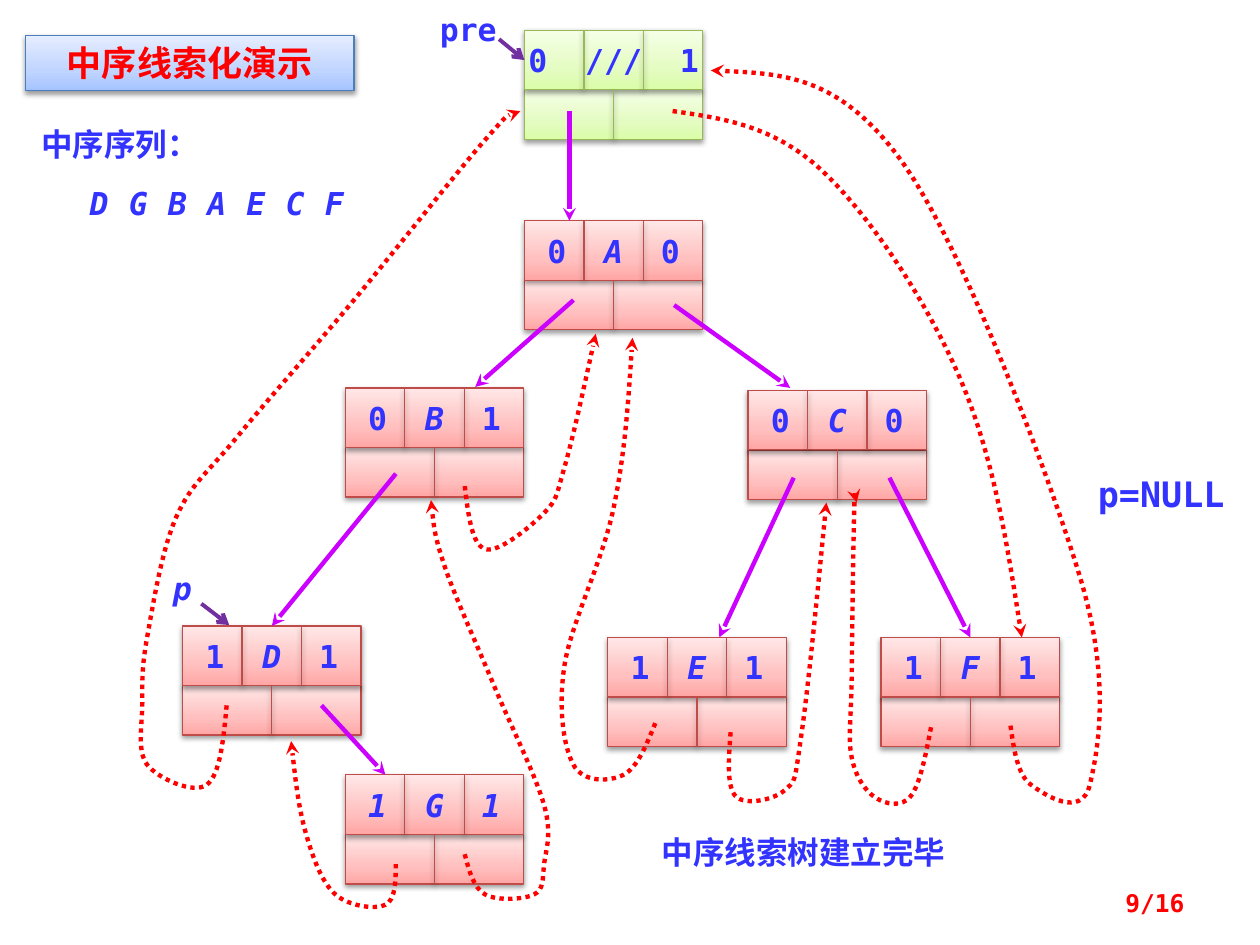
from copy import deepcopy
from itertools import accumulate

from lxml.etree import SubElement
from pptx import Presentation
from pptx.dml.color import RGBColor
from pptx.enum.dml import MSO_LINE
from pptx.enum.shapes import MSO_CONNECTOR, MSO_SHAPE
from pptx.enum.text import MSO_ANCHOR, PP_ALIGN
from pptx.oxml.ns import qn
from pptx.util import Cm, Pt

MONO = "DejaVu Sans Mono"
CJK = "Noto Sans CJK SC"
BLUE = RGBColor.from_string("3333FF")
RED = RGBColor.from_string("FF0000")
MAGENTA = RGBColor.from_string("CC00FF")
PURPLE = RGBColor.from_string("7030A0")
# Each palette holds the gradient from bottom to top, then the outline.
PINK_PALETTE = [RGBColor.from_string(c) for c in ("FFA6A5", "FFC0BF", "FFE7E7", "BF4C48")]
GREEN_PALETTE = [RGBColor.from_string(c) for c in ("DAFDA7", "E4FCC2", "F5FFE7", "98B955")]
BLUE_PALETTE = [RGBColor.from_string(c) for c in ("A4C4FF", "BFD4FF", "E6EEFF", "4B7EBC")]

NODE_WIDTH, TAG_HEIGHT, LINK_HEIGHT = 3.6, 1.2, 1.0
CHARACTER_WIDTH = 0.382  # one 18 pt character of the monospaced font

# left, top, the three fields of the upper row
NODES = {
    "A": (10.57, 4.45, "0A0"),
    "E": (12.25, 12.85, "1E1"),
    "C": (15.08, 7.87, "0C0"),
    "F": (17.76, 12.85, "1F1"),
    "B": (6.96, 7.82, "0B1"),
    "D": (3.68, 12.62, "1D1"),
    "G": (6.96, 15.62, "1G1"),
    "pre": (10.57, 0.61, ("0", "///", "1")),
}

# start, end, node whose top middle the arrow joins
CHILD_ARROWS = [
    ((11.48, 2.24), (11.48, 4.45), None),
    ((11.56, 6.05), (9.58, 7.8), None),
    ((13.59, 6.15), (15.93, 7.82), None),
    ((16, 9.63), (14.5, 12.85), None),
    ((17.93, 9.63), (19.56, 12.85), "F"),
    ((7.98, 9.55), (5.56, 12.65), "D"),
    ((6.48, 14.22), (7.77, 15.62), None),
]

# Points that each smooth thread passes through.
THREADS = {
    "E to C": [(14.73, 14.76), (14.83, 16.05), (15.82, 15.93), (16.15, 14.86),
               (16.66, 10.13)],
    "F to C": [(18.77, 14.66), (18.36, 16.05), (17.65, 16.08), (17.17, 15.27),
               (17.17, 13.67), (17.22, 10.31), (17.27, 10.13)],
    "pre to F": [(13.56, 2.24), (16.56, 3.43), (19.35, 7.62), (20.6, 12.85)],
    "F to pre": [(20.37, 14.63), (20.78, 15.82), (21.97, 15.82), (21.77, 11.63),
                 (18.16, 3.23), (14.33, 1.42)],
    "G to B": [(9.37, 17.22), (9.78, 18.03), (10.77, 18.03), (10.97, 17.42),
               (10.97, 16.23), (9.96, 13.82), (8.97, 11.43), (8.69, 10.08)],
    "G to D": [(7.98, 17.42), (7.77, 18.24), (6.76, 18.03), (6.17, 16.81),
               (5.87, 14.94)],
    "D to pre": [(4.57, 14.22), (4.17, 15.82), (2.97, 15.42), (2.87, 14.17),
                 (2.97, 12.83), (3.56, 10.41), (4.78, 8.81), (7.16, 6.02),
                 (9.78, 2.82), (10.49, 2.24)],
    "E to A": [(13.21, 14.58), (12.57, 15.62), (11.56, 15.42), (11.38, 13.41),
               (12.37, 10.24), (12.75, 6.81)],
    "B to A": [(9.37, 9.8), (9.78, 11.07), (10.97, 10.34), (11.38, 9.42),
               (12.01, 6.73)],
}


def add_shadow(effects):
    shadow = SubElement(effects, qn("a:outerShdw"), blurRad=str(Pt(3.1)), dist=str(Pt(1.6)),
                        dir="5400000", rotWithShape="0")
    color = SubElement(shadow, qn("a:srgbClr"), val="000000")
    SubElement(color, qn("a:alpha"), val="38000")


def add_box(slide, left, top, width, height, palette):
    """Add a rectangle with a three-stop vertical gradient and a soft shadow."""
    box = slide.shapes.add_shape(MSO_SHAPE.RECTANGLE, Cm(left), Cm(top), Cm(width), Cm(height))
    box.fill.gradient()
    box.fill.gradient_angle = 90
    stops = box._element.spPr.find(".//" + qn("a:gsLst"))
    stops.append(deepcopy(stops[-1]))
    for stop, position, color in zip(box.fill.gradient_stops, (0, 0.35, 1), palette):
        stop.position = position
        stop.color.rgb = color
    box.line.color.rgb = palette[-1]
    box.line.width = Pt(0.75)
    box.shadow.inherit = False
    add_shadow(box._element.spPr.find(qn("a:effectLst")))
    return box


def add_line(slide, start, end, color, width, arrowhead=None, shadow=False):
    line = slide.shapes.add_connector(MSO_CONNECTOR.STRAIGHT, *map(Cm, start + end))
    line.line.color.rgb = color
    line.line.width = Pt(width)
    if arrowhead:
        add_arrowhead(line, arrowhead)
    effects = SubElement(line._element.spPr, qn("a:effectLst"))
    if shadow:
        add_shadow(effects)
    return line


def add_arrowhead(shape, kind):
    SubElement(shape.line._get_or_add_ln(), qn("a:tailEnd"), type=kind)


def add_run(paragraph, text, size=18, color=BLUE, italic=False, font=MONO):
    run = paragraph.add_run()
    run.text = text
    run.font.name = font
    run.font.size = Pt(size)
    run.font.bold = True
    run.font.italic = italic
    run.font.color.rgb = color
    SubElement(run._r.get_or_add_rPr(), qn("a:ea"), typeface=CJK)


def add_label(slide, text, left, top, width, height, inset=True, alignment=PP_ALIGN.CENTER,
              **style):
    frame = slide.shapes.add_textbox(Cm(left), Cm(top), Cm(width), Cm(height)).text_frame
    frame.word_wrap = True
    if not inset:
        frame.margin_left = frame.margin_top = frame.margin_right = frame.margin_bottom = 0
    frame.paragraphs[0].alignment = alignment
    add_run(frame.paragraphs[0], text, **style)


def write_fields(box, fields, all_italic):
    """Write three fields, two characters apart, centred in the box by tab stops."""
    columns = list(accumulate(len(field) + 2 for field in fields))
    frame = box.text_frame
    frame.word_wrap = True
    frame.vertical_anchor = MSO_ANCHOR.MIDDLE
    frame.margin_left = Cm((NODE_WIDTH - (columns[-1] - 2) * CHARACTER_WIDTH) / 2)
    frame.margin_right = 0
    paragraph = frame.paragraphs[0]
    paragraph.alignment = PP_ALIGN.LEFT
    tabs = SubElement(paragraph._p.get_or_add_pPr(), qn("a:tabLst"))
    for column in columns[:2]:
        SubElement(tabs, qn("a:tab"), pos=str(Cm(column * CHARACTER_WIDTH)), algn="l")
    for index, field in enumerate(fields):
        add_run(paragraph, field if index == 2 else field + "\t",
                italic=all_italic or field.isalpha())


def add_node(slide, name, left, top, fields):
    """Add a node with tags above and links below; return its upper box."""
    palette = GREEN_PALETTE if name == "pre" else PINK_PALETTE
    middle = top + TAG_HEIGHT
    links = add_box(slide, left, middle, NODE_WIDTH, LINK_HEIGHT, palette)
    tags = add_box(slide, left, top, NODE_WIDTH, TAG_HEIGHT, palette)
    write_fields(tags, fields, all_italic=name == "G")
    for third in (1, 2):
        x = left + third * NODE_WIDTH / 3
        add_line(slide, (x, top), (x, middle), palette[-1], 0.75, shadow=True)
    x = left + NODE_WIDTH / 2
    divider = add_line(slide, (x, middle), (x, middle + LINK_HEIGHT), palette[-1], 0.75,
                       shadow=True)
    divider.begin_connect(links, 0)
    divider.end_connect(links, 2)
    return tags


def shift(point, before, after, share):
    """Move a point by a share of the way from before to after."""
    return tuple(p + (a - b) * share for p, b, a in zip(point, before, after))


def smooth(knots):
    """Return two control points and an end point for each curve between knots."""
    leaving, arriving = [None], [None]
    for before, knot, after in zip(knots, knots[1:], knots[2:]):
        arriving.append(shift(knot, before, after, -1 / 6))
        leaving.append(shift(knot, before, after, 1 / 6))
    leaving[0] = shift(knots[0], knots[0], arriving[1], 1 / 2)
    arriving.append(shift(knots[-1], knots[-1], leaving[-1], 1 / 2))
    return [point for curve in zip(leaving, arriving[1:], knots[1:]) for point in curve]


def add_thread(slide, knots):
    """Add a dotted arrow made of cubic curves."""
    builder = slide.shapes.build_freeform(*map(Cm, knots[0]))
    builder.add_line_segments([(Cm(x), Cm(y)) for x, y in smooth(knots)], close=False)
    thread = builder.convert_to_shape()
    outline = thread._element.spPr.find(".//" + qn("a:path"))
    segments = outline.findall(qn("a:lnTo"))
    for index in range(0, len(segments), 3):
        curve = SubElement(outline, qn("a:cubicBezTo"))
        for segment in segments[index:index + 3]:
            curve.append(segment[0])
            outline.remove(segment)
    thread.fill.background()
    thread.line.color.rgb = RED
    thread.line.width = Pt(2.5)
    thread.line.dash_style = MSO_LINE.ROUND_DOT
    add_arrowhead(thread, "stealth")
    thread.shadow.inherit = False


def add_title(slide):
    title = add_box(slide, 0.51, 0.71, 6.63, 1.12, BLUE_PALETTE)
    title.text_frame.vertical_anchor = MSO_ANCHOR.MIDDLE
    title.text_frame.paragraphs[0].alignment = PP_ALIGN.CENTER
    add_run(title.text_frame.paragraphs[0], "中序线索化演示", 20, RED, font=CJK)


def main():
    presentation = Presentation()
    presentation.slide_width, presentation.slide_height = Cm(25.4), Cm(19.05)
    slide = presentation.slides.add_slide(presentation.slide_layouts[6])

    tags = {name: add_node(slide, name, *node) for name, node in NODES.items()}
    for start, end, target in CHILD_ARROWS:
        arrow = add_line(slide, start, end, MAGENTA, 2.5, "stealth")
        if target:
            arrow.end_connect(tags[target], 0)
    for knots in THREADS.values():
        add_thread(slide, knots)

    add_title(slide)
    add_label(slide, "中序序列：", 0.58, 2.39, 3.9, 1.02, alignment=PP_ALIGN.LEFT)
    for index, letter in enumerate("DGBAECF"):
        add_label(slide, letter, 1.5 + index * 0.79, 3.71, 1, 0.76, inset=False, italic=True)
    add_label(slide, "中序线索树建立完毕", 11.99, 16.66, 8.41, 1.02, font=CJK)

    pre_pointer = add_line(slide, (10.06, 0.79), (10.59, 1.22), PURPLE, 2.25, "arrow")
    pre_pointer.end_connect(tags["pre"], 1)
    add_label(slide, "pre", 8.74, 0.2, 1.4, 0.76, inset=False)
    add_line(slide, (4.06, 12.17), (4.62, 12.6), PURPLE, 2.25, "arrow")
    add_label(slide, "p", 3.28, 11.48, 0.79, 0.76, inset=False, italic=True)
    add_label(slide, "p=NULL", 21.82, 9.53, 3.18, 0.86, inset=False, size=20)
    add_label(slide, "9/16", 18.21, 17.77, 5.92, 1.02, alignment=PP_ALIGN.RIGHT,
              size=14, color=RED)
    presentation.save("out.pptx")


if __name__ == "__main__":
    main()
